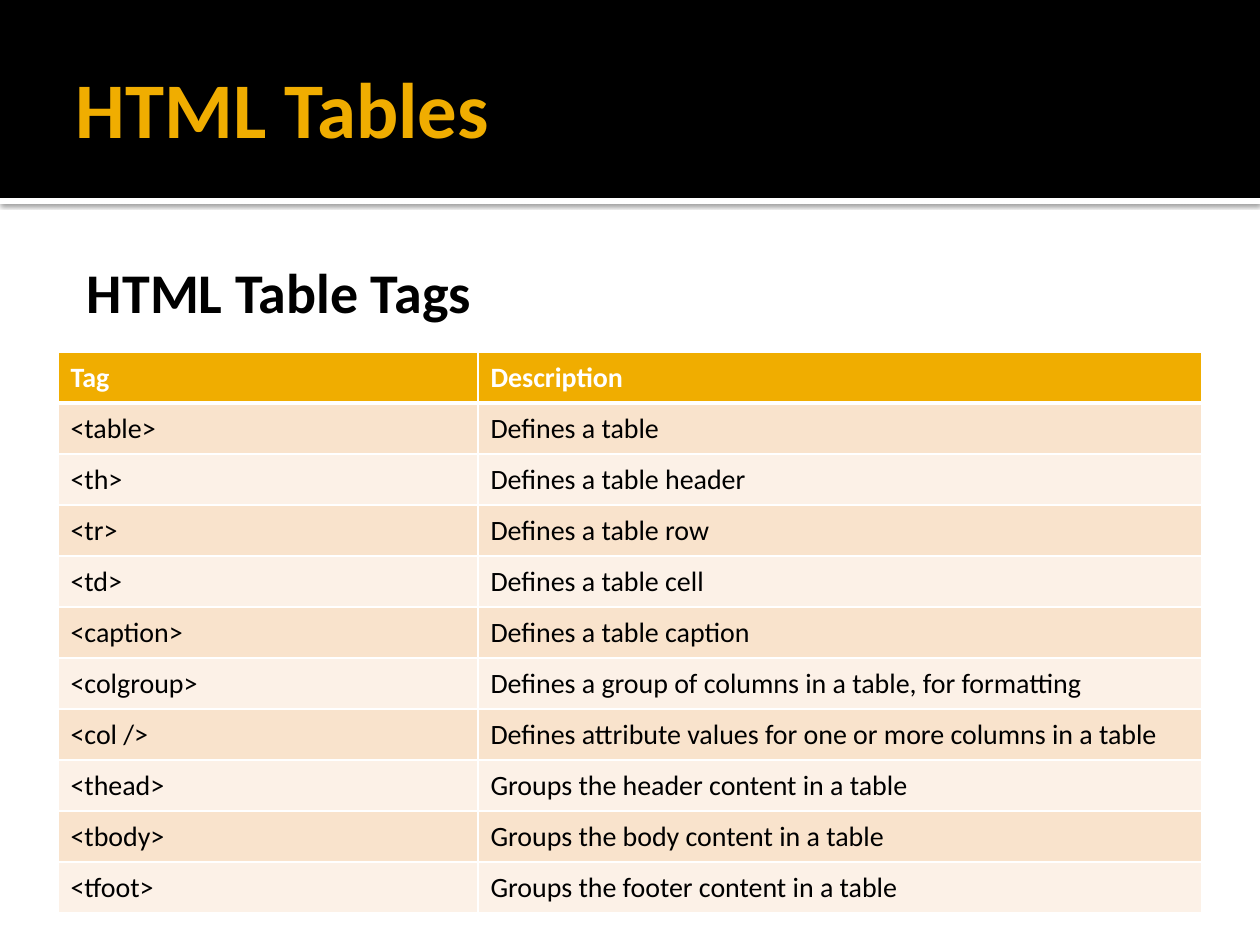
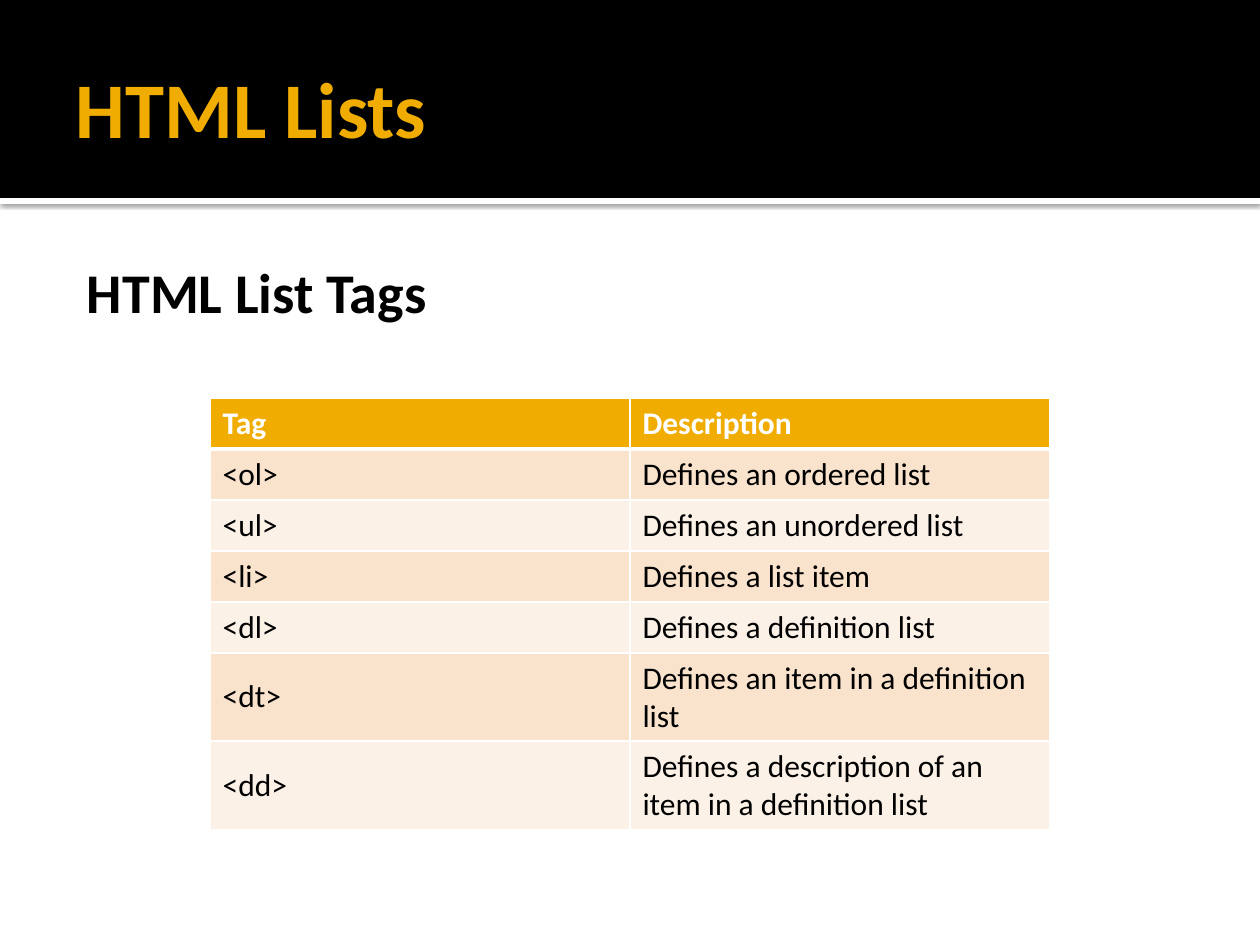
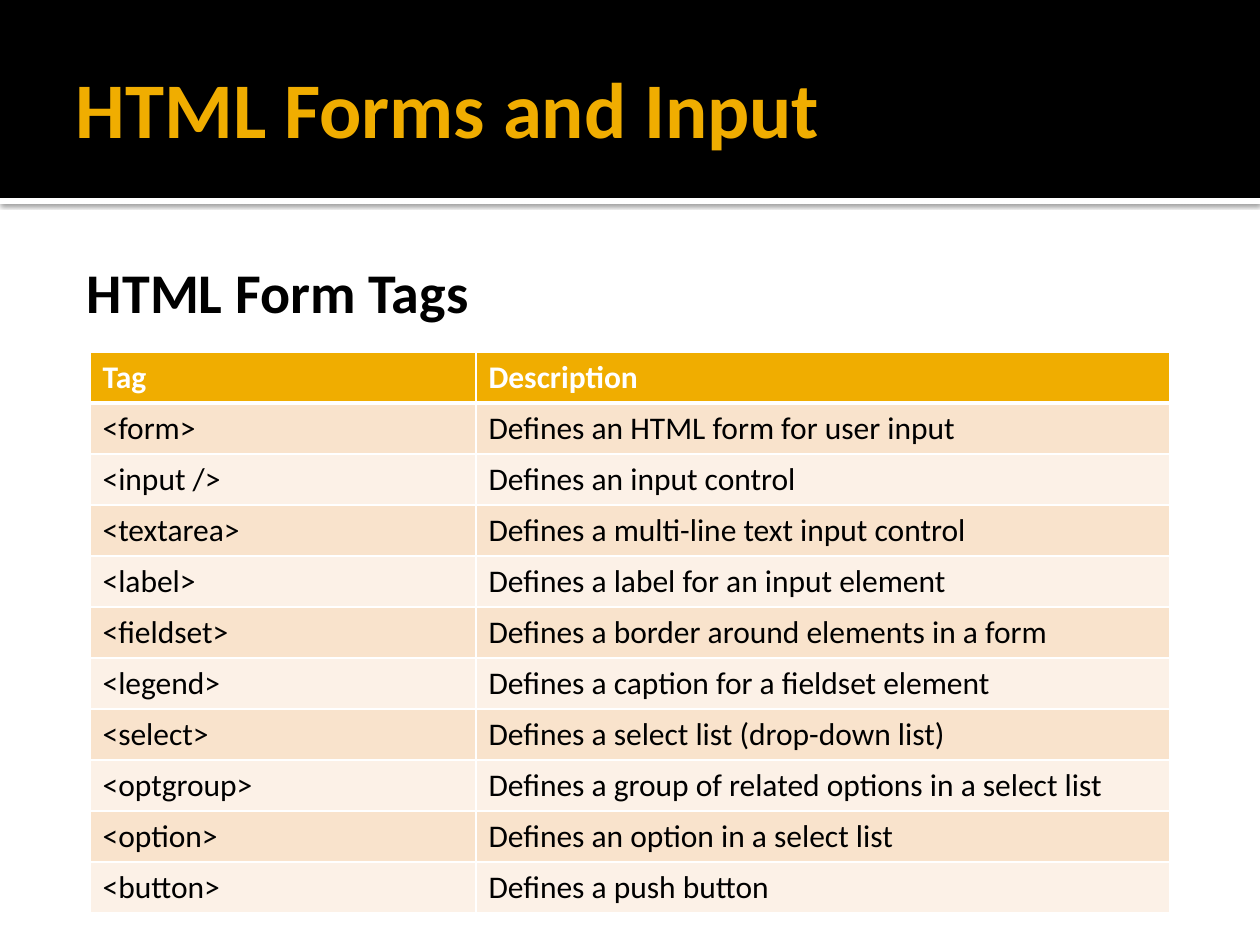
import pptx
import pptx.dml.color
import pptx.enum.shapes
import pptx.enum.text
import pptx.oxml
import pptx.oxml.ns
import pptx.util

SLIDES = [
    {
        "title": "HTML Tables", "heading": "HTML Table Tags",
        "top": 352, "columns": (420, 724), "size": 16,
        "tags": [
            ("<table>", "Defines a table"),
            ("<th>", "Defines a table header"),
            ("<tr>", "Defines a table row"),
            ("<td>", "Defines a table cell"),
            ("<caption>", "Defines a table caption"),
            ("<colgroup>", "Defines a group of columns in a table, for formatting"),
            ("<col />", "Defines attribute values for one or more columns in a table"),
            ("<thead>", "Groups the header content in a table"),
            ("<tbody>", "Groups the body content in a table"),
            ("<tfoot>", "Groups the footer content in a table"),
        ],
    },
    {
        "title": "HTML Lists", "heading": "HTML List Tags",
        "top": 398, "columns": (420, 420), "size": 18,
        "tags": [
            ("<ol>", "Defines an ordered list"),
            ("<ul>", "Defines an unordered list"),
            ("<li>", "Defines a list item"),
            ("<dl>", "Defines a definition list"),
            ("<dt>", "Defines an item in a definition list"),
            ("<dd>", "Defines a description of an item in a definition list"),
        ],
    },
    {
        "title": "HTML Forms and Input", "heading": "HTML Form Tags",
        "top": 352, "columns": (386, 694), "size": 18,
        "tags": [
            ("<form>", "Defines an HTML form for user input"),
            ("<input />", "Defines an input control"),
            ("<textarea>", "Defines a multi-line text input control"),
            ("<label>", "Defines a label for an input element"),
            ("<fieldset>", "Defines a border around elements in a form"),
            ("<legend>", "Defines a caption for a fieldset element"),
            ("<select>", "Defines a select list (drop-down list)"),
            ("<optgroup>", "Defines a group of related options in a select list"),
            ("<option>", "Defines an option in a select list"),
            ("<button>", "Defines a push button"),
        ],
    },
]
HEADER = ("Tag", "Description")

COLORS = {"paper": "FFFFFF", "ink": "000000", "accent": "F0AD00",
          "odd": "F9E3CC", "even": "FCF1E7"}
FONT = "Calibri"
WIDTH, HEIGHT = 1260, 945
BAND_HEIGHT, STRIPE_HEIGHT = 198, 6
ROW_HEIGHT = 51
MARGIN = 63
ANCHOR = pptx.enum.text.MSO_ANCHOR


def px(n):
    return pptx.util.Emu(round(n * 914400 / 126))


def rgb(name):
    return pptx.dml.color.RGBColor.from_string(COLORS[name])


def write(tf, text, size, color, bold):
    p = tf.paragraphs[0]
    r = p.add_run()
    r.text = text
    for key, value in {"name": FONT, "size": pptx.util.Pt(size), "bold": bold}.items():
        setattr(r.font, key, value)
    r.font.color.rgb = rgb(color)
    return p


def add_rect(s, top, height, color):
    sp = s.shapes.add_shape(pptx.enum.shapes.MSO_SHAPE.RECTANGLE,
                            0, px(top), px(WIDTH), px(height))
    sp.shadow.inherit = False
    sp.fill.solid()
    sp.fill.fore_color.rgb = rgb(color)
    sp.line.fill.background()
    return sp


def add_band(s):
    stripe = add_rect(s, BAND_HEIGHT, STRIPE_HEIGHT, "paper")
    effects = stripe.element.spPr.find(pptx.oxml.ns.qn("a:effectLst"))
    effects.append(pptx.oxml.parse_xml(
        f'<a:outerShdw {pptx.oxml.ns.nsdecls("a")} blurRad="31750" dist="10160" dir="5400000">'
        f'<a:srgbClr val="{COLORS["ink"]}"><a:alpha val="60000"/></a:srgbClr></a:outerShdw>'))
    add_rect(s, 0, BAND_HEIGHT, "ink")


def add_text(s, text, top, height, size, color, anchor, insets):
    sp = s.shapes.add_textbox(px(MARGIN), px(top), px(WIDTH - 2 * MARGIN), px(height))
    tf = sp.text_frame
    tf.word_wrap = True
    tf.vertical_anchor = anchor
    for side, inset in zip(("left", "top", "right", "bottom"), insets):
        setattr(tf, f"margin_{side}", px(inset))
    return write(tf, text, size, color, True)


def set_borders(cell, top, bottom):
    """Rule all four sides in white; top and bottom widths are in points."""
    widths = {"lnL": 1, "lnR": 1, "lnT": top, "lnB": bottom}
    for i, (tag, width) in enumerate(widths.items()):
        cell._tc.get_or_add_tcPr().insert(i, pptx.oxml.parse_xml(
            f'<a:{tag} {pptx.oxml.ns.nsdecls("a")} w="{pptx.util.Pt(width)}"><a:solidFill>'
            f'<a:srgbClr val="{COLORS["paper"]}"/></a:solidFill></a:{tag}>'))


def add_tag_table(s, tags, columns, top, size):
    rows = [HEADER, *tags]
    width = sum(columns)
    table = s.shapes.add_table(len(rows), len(columns), px((WIDTH - width) / 2), px(top),
                               px(width), px(ROW_HEIGHT * len(rows))).table
    for column, column_width in zip(table.columns, columns):
        column.width = px(column_width)
    for i, row in enumerate(rows):
        table.rows[i].height = px(ROW_HEIGHT)
        is_header = i == 0
        fill = "accent" if is_header else "odd" if i % 2 else "even"
        for j, text in enumerate(row):
            cell = table.cell(i, j)
            cell.vertical_anchor = ANCHOR.MIDDLE
            cell.fill.solid()
            cell.fill.fore_color.rgb = rgb(fill)
            set_borders(cell, top=3 if i == 1 else 1, bottom=3 if is_header else 1)
            write(cell.text_frame, text, size, "paper" if is_header else "ink", is_header)


def main():
    prs = pptx.Presentation()
    prs.slide_width, prs.slide_height = px(WIDTH), px(HEIGHT)
    for content in SLIDES:
        s = prs.slides.add_slide(prs.slide_layouts[6])
        s.background.fill.solid()
        s.background.fill.fore_color.rgb = rgb("paper")
        add_band(s)
        add_text(s, content["title"], 21, 173, 45, "accent", ANCHOR.MIDDLE, (13, 6, 6, 6))
        p = add_text(s, content["heading"], 244, 638, 32, "ink", ANCHOR.TOP, (8, 13, 13, 6))
        pPr = p._p.get_or_add_pPr()
        pPr.set("marL", str(px(60)))
        pPr.set("indent", str(px(-44)))
        add_tag_table(s, content["tags"], content["columns"], content["top"], content["size"])
    prs.save("out.pptx")


if __name__ == "__main__":
    main()
